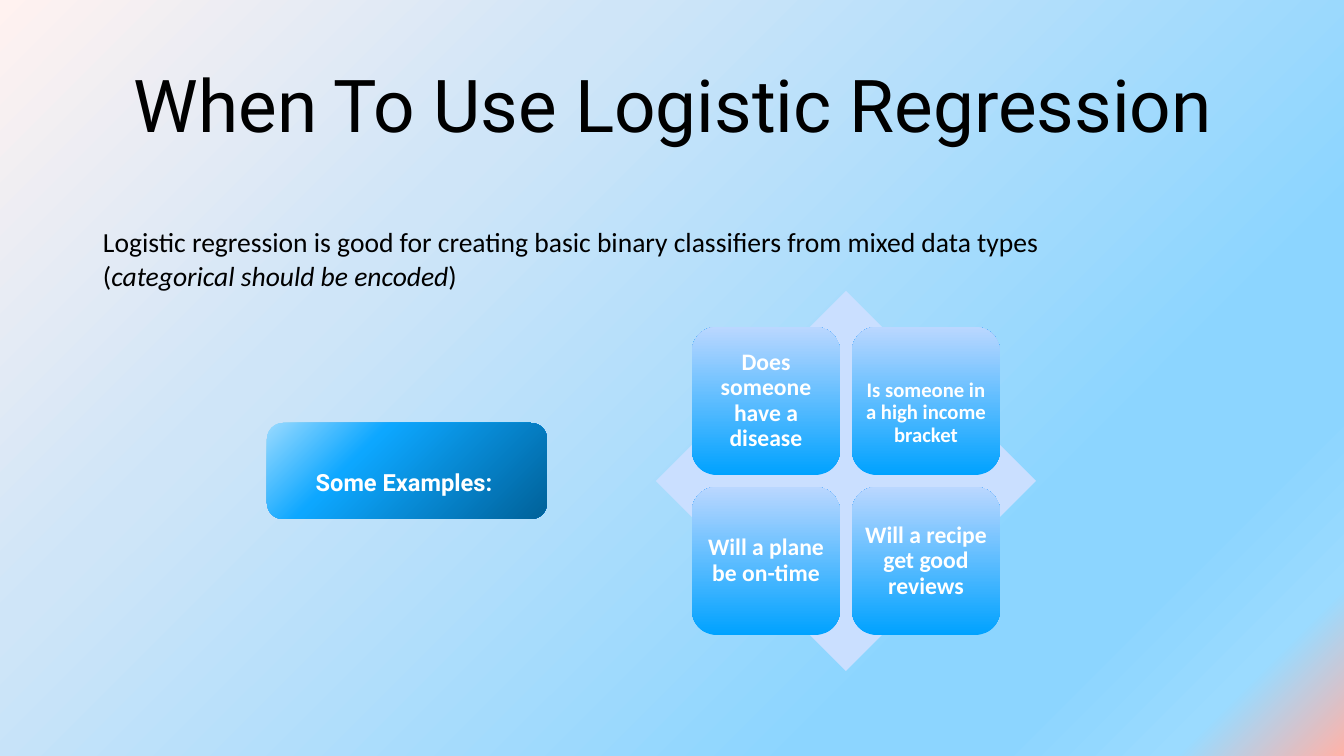
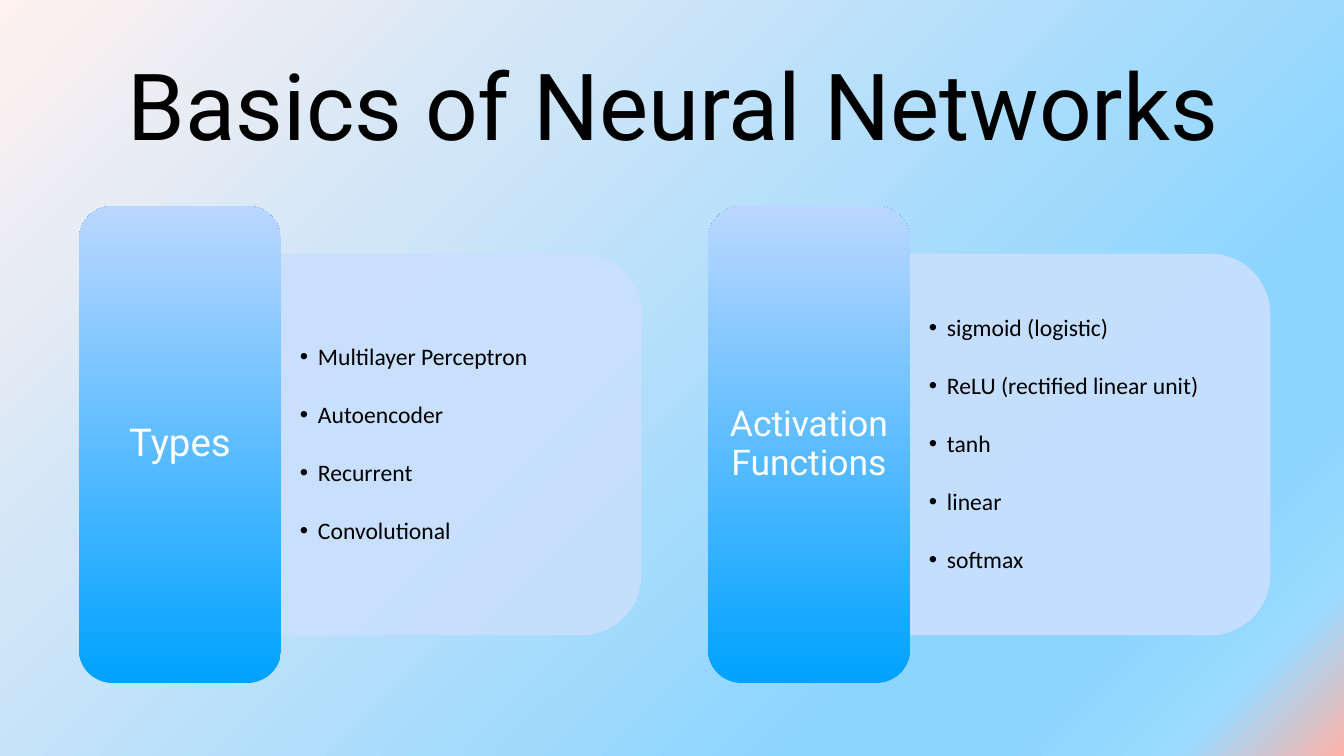
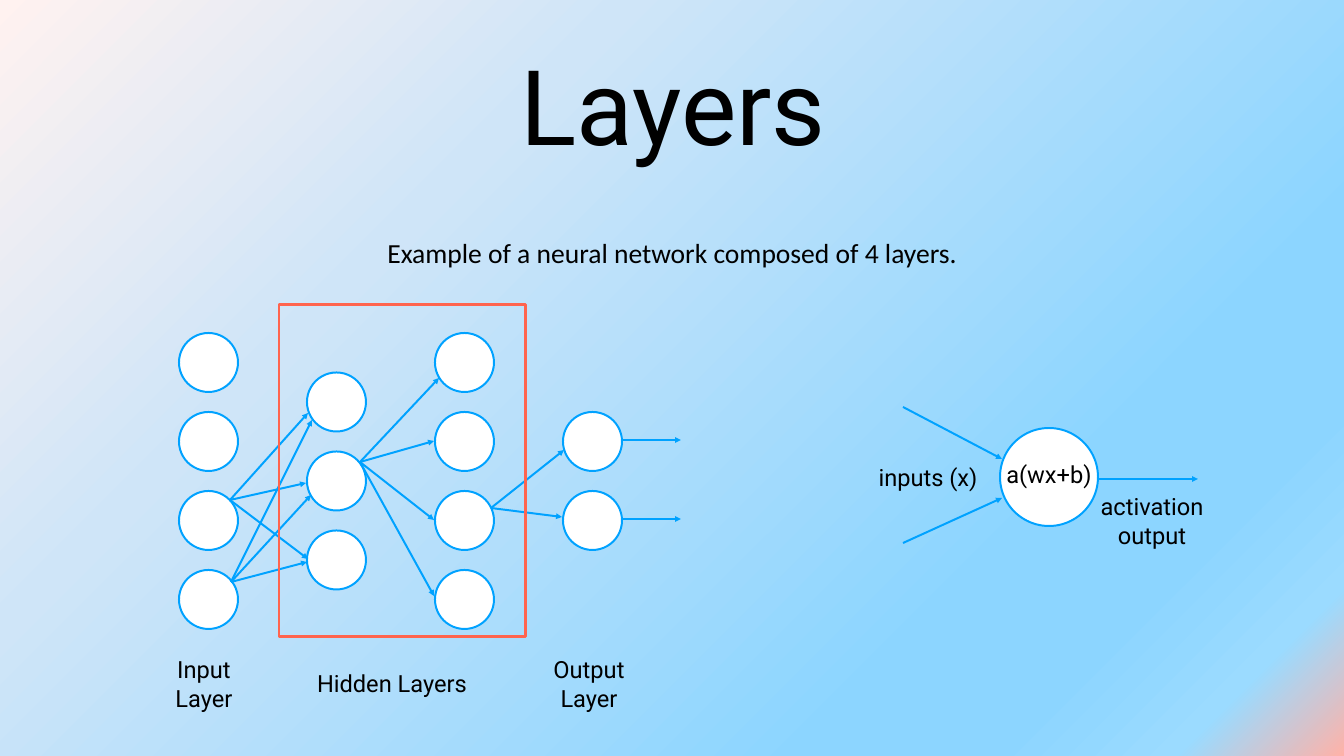
from lxml import etree
from pptx import Presentation
from pptx import util as u
from pptx.dml.color import RGBColor
from pptx.enum import shapes, text
from pptx.oxml.ns import qn

SCALE = 914400 / 70.9
BLACK = RGBColor(0x00, 0x00, 0x00)
WHITE = RGBColor(0xFF, 0xFF, 0xFF)
BLUE = RGBColor(0x00, 0xA2, 0xFF)
PALE = RGBColor(0xCA, 0xDF, 0xFF)
CORAL = RGBColor(0xFF, 0x64, 0x4E)
SKY = RGBColor(0x8C, 0xD5, 0xFF)
BACKDROP = [(0, RGBColor(0xFF, 0xF2, 0xF0)), (30, RGBColor(0xCF, 0xE5, 0xF8)),
            (74, SKY), (83, SKY), (92, RGBColor(0x9B, 0xDB, 0xFF)),
            (100, RGBColor(0xFF, 0xB2, 0xA8))]
BUTTON = [(0, BLUE), (100, RGBColor(0xBA, 0xD7, 0xFF))]
BADGE = [(0, RGBColor(0x99, 0xDA, 0xFF)), (33, RGBColor(0x0D, 0xA7, 0xFF)),
         (100, RGBColor(0x00, 0x61, 0x99))]
HEADING_FONT = "Roboto"
BODY_FONT = "Calibri"
KIND = shapes.MSO_SHAPE
CORNER = 0.167


def px(length):
    """Turn pixels into EMU."""
    return u.Emu(round(length * SCALE))


def shade(owner, fill, stops, angle):
    """Give a fill the gradient stops and the clockwise angle."""
    fill.gradient()
    gradient = owner.find(".//" + qn("a:gradFill"))
    stop_list = gradient.find(qn("a:gsLst"))
    for old in list(stop_list):
        stop_list.remove(old)
    for position, colour in stops:
        stop = etree.SubElement(stop_list, qn("a:gs"), pos=str(position * 1000))
        etree.SubElement(stop, qn("a:srgbClr"), val=str(colour))
    gradient.find(qn("a:lin")).set("ang", str(angle * 60000))


def write(shape, lines, size, font=BODY_FONT, colour=BLACK, bold=False,
          align=text.PP_ALIGN.CENTER, spacing=1.0, after=0,
          insets=(4, 4, 4, 4), wrap=True):
    """Fill a shape with paragraphs; parts between asterisks are italic."""
    frame = shape.text_frame
    frame.word_wrap = wrap
    frame.vertical_anchor = text.MSO_ANCHOR.MIDDLE
    (frame.margin_left, frame.margin_top,
     frame.margin_right, frame.margin_bottom) = map(px, insets)
    for index, line in enumerate(lines):
        para = frame.add_paragraph() if index else frame.paragraphs[0]
        para.alignment = align
        para.line_spacing = spacing
        para.space_after = u.Pt(after)
        para.font.name = font
        para.font.size = u.Pt(size)
        para.font.bold = bold
        para.font.color.rgb = colour
        for part, words in enumerate(line.split("*")):
            if words:
                span = para.add_run()
                span.text = words
                if part % 2:
                    span.font.italic = True
    return frame


def label(page, box, lines, size, **style):
    """Place a text box."""
    return write(page.shapes.add_textbox(*map(px, box)), lines, size, **style)


def block(page, kind, box, fill=None, line=None, width=2):
    """Place a preset shape with a plain fill and outline."""
    shape = page.shapes.add_shape(kind, *map(px, box))
    shape.shadow.inherit = False
    if fill is None:
        shape.fill.background()
    else:
        shape.fill.solid()
        shape.fill.fore_color.rgb = fill
    if line is None:
        shape.line.fill.background()
    else:
        shape.line.color.rgb = line
        shape.line.width = u.Pt(width)
    return shape


def button(page, box, stops=BUTTON, angle=270):
    """Place a rounded rectangle with a gradient."""
    shape = block(page, KIND.ROUNDED_RECTANGLE, box)
    shape.adjustments[0] = CORNER
    shade(shape._element.spPr, shape.fill, stops, angle)
    return shape


def arrow(page, left, top, start, end):
    """Draw an arrow between two points measured from a corner."""
    line = page.shapes.add_connector(
        shapes.MSO_CONNECTOR.STRAIGHT, px(left + start[0]), px(top + start[1]),
        px(left + end[0]), px(top + end[1]))
    line.line.color.rgb = BLUE
    line.line.width = u.Pt(2)
    etree.SubElement(line.line._get_or_add_ln(), qn("a:tailEnd"), type="triangle")
    etree.SubElement(line._element.spPr, qn("a:effectLst"))


def circle(page, left, top, size):
    """Draw one white neuron."""
    return block(page, KIND.OVAL, (left, top, size, size), WHITE, BLUE)


def titled_page(deck, title, size):
    """Add a blank page with the shared title style."""
    page = deck.slides.add_slide(deck.slide_layouts[6])
    label(page, (99, 20, 1148, 167), [title], size, font=HEADING_FONT)
    return page


def example_matrix(page, box, examples):
    """Set four tiles on a diamond, two by two."""
    left, top, size, _ = box
    block(page, KIND.DIAMOND, box, PALE)
    margin, gap = 36, 12
    tile = (size - 2 * margin - gap) / 2
    for index, (words, points, drop) in enumerate(examples):
        row, column = divmod(index, 2)
        shape = button(page, (left + margin + column * (tile + gap),
                              top + margin + row * (tile + gap), tile, tile))
        write(shape, [words], points, colour=WHITE, bold=True, spacing=0.9,
              insets=(6, drop, 6, 0))


def topic_card(page, box, heading, size, items):
    """Draw a heading tab with a bulleted panel to its right."""
    left, top, width, height = box
    tab_width, step = 202, 48
    panel_width, panel_height = width - tab_width, height - 2 * step
    centre_x = left + tab_width + panel_width / 2
    centre_y = top + height / 2
    panel = block(page, KIND.ROUND_2_SAME_RECTANGLE,
                  (centre_x - panel_height / 2, centre_y - panel_width / 2,
                   panel_height, panel_width), PALE, PALE, 0.75)
    panel.rotation = 90
    panel.adjustments[0] = CORNER
    for colour in panel._element.spPr.iter(qn("a:srgbClr")):
        etree.SubElement(colour, qn("a:alpha"), val="90000")
    frame = label(page, (left + tab_width + 9, top + step + 42,
                         panel_width - 18, panel_height - 84), items, 24,
                  align=text.PP_ALIGN.LEFT, spacing=0.9, after=33,
                  insets=(10, 10, 10, 10))
    for para in frame.paragraphs:
        properties = para._p.get_or_add_pPr()
        properties.set("marL", str(px(18)))
        properties.set("indent", str(-px(18)))
        etree.SubElement(properties, qn("a:buFont"), typeface="Arial")
        etree.SubElement(properties, qn("a:buChar"), char="•")
    write(button(page, (left, top, tab_width, height)), [heading], size,
          font=HEADING_FONT, colour=WHITE, spacing=0.9)


def network(page, left, top):
    """Draw the four layers, their links, the hidden frame and captions."""
    size, pitch, middle = 59, 79, 176
    for layer, count in enumerate([4, 3, 4, 2]):
        first = middle - ((count - 1) * pitch + size) / 2
        for index in range(count):
            circle(page, left + layer * 128, top + first + index * pitch, size)
    links = {
        (52, 277): [(128, 257), (132, 190), (133, 115)],
        (51, 195): [(129, 108), (127, 178), (129, 254)],
        (181, 157): [(260, 73), (255, 136), (255, 215), (255, 291)],
        (312, 203): [(385, 145), (383, 212)],
        (442, 135): [(502, 135)],
        (442, 214): [(502, 214)],
    }
    for start, ends in links.items():
        for end in ends:
            arrow(page, left, top, start, end)
    block(page, KIND.RECTANGLE, (left + 100, top, 247, 332), line=CORAL, width=3)
    captions = [(25, ["Input", "Layer"]), (213, ["Hidden Layers"]),
                (410, ["Output", "Layer"])]
    for centre, lines in captions:
        label(page, (left + centre - 85, top + 346, 170, 65), lines, 24,
              font=HEADING_FONT)


def neuron(page, left, top):
    """Draw one neuron with its inputs and its output."""
    body = circle(page, left + 121, top + 21, 98)
    write(body, ["a(wx+b)"], 24, font=HEADING_FONT, insets=(0, 0, 0, 5), wrap=False)
    for start, end in [((24, 0), (123, 52)), ((24, 136), (123, 91)),
                       ((219, 72), (319, 72))]:
        arrow(page, left, top, start, end)
    label(page, (left - 11, top + 52, 120, 36), ["inputs (x)"], 24,
          font=HEADING_FONT)
    label(page, (left + 213, top + 81, 120, 65), ["activation", "output"], 24,
          font=HEADING_FONT)


def regression_page(deck):
    """Build the page on logistic regression."""
    page = titled_page(deck, "When To Use Logistic Regression", 74)
    example_matrix(page, (656, 291, 380, 380), [
        ("Does someone have a disease", 24, 0),
        ("Is someone in a high income bracket", 21, 24),
        ("Will a plane be on-time", 24, 0),
        ("Will a recipe get good reviews", 24, 0)])
    label(page, (99, 223, 1173, 71), [
        "Logistic regression is good for creating basic binary classifiers "
        "from mixed data types", "(*categorical should be encoded*)"], 28,
        align=text.PP_ALIGN.LEFT)
    badge = button(page, (267, 423, 280, 96), BADGE, 45)
    write(badge, ["Some Examples:"], 24, font=HEADING_FONT, colour=WHITE,
          bold=True, insets=(4, 22, 10, 0))


def basics_page(deck):
    """Build the page on neural network basics."""
    page = titled_page(deck, "Basics of Neural Networks", 94)
    cards = [
        ("Types", 39, ["Multilayer Perceptron", "Autoencoder", "Recurrent",
                       "Convolutional"]),
        ("Activation Functions", 36, ["sigmoid (logistic)",
                                      "ReLU (rectified linear unit)", "tanh",
                                      "linear", "softmax"])]
    for index, card in enumerate(cards):
        topic_card(page, (79 + index * 629, 206, 562, 477), *card)


def layers_page(deck):
    """Build the page on network layers."""
    page = titled_page(deck, "Layers", 106)
    label(page, (172, 232, 1000, 40),
          ["Example of a neural network composed of 4 layers."], 28)
    network(page, 179, 305)
    neuron(page, 879, 407)


def main():
    """Build and save the deck."""
    deck = Presentation()
    deck.slide_width, deck.slide_height = px(1344), px(756)
    master = deck.slide_master
    shade(master._element, master.background.fill, BACKDROP, 45)
    regression_page(deck)
    basics_page(deck)
    layers_page(deck)
    deck.save("out.pptx")


main()
